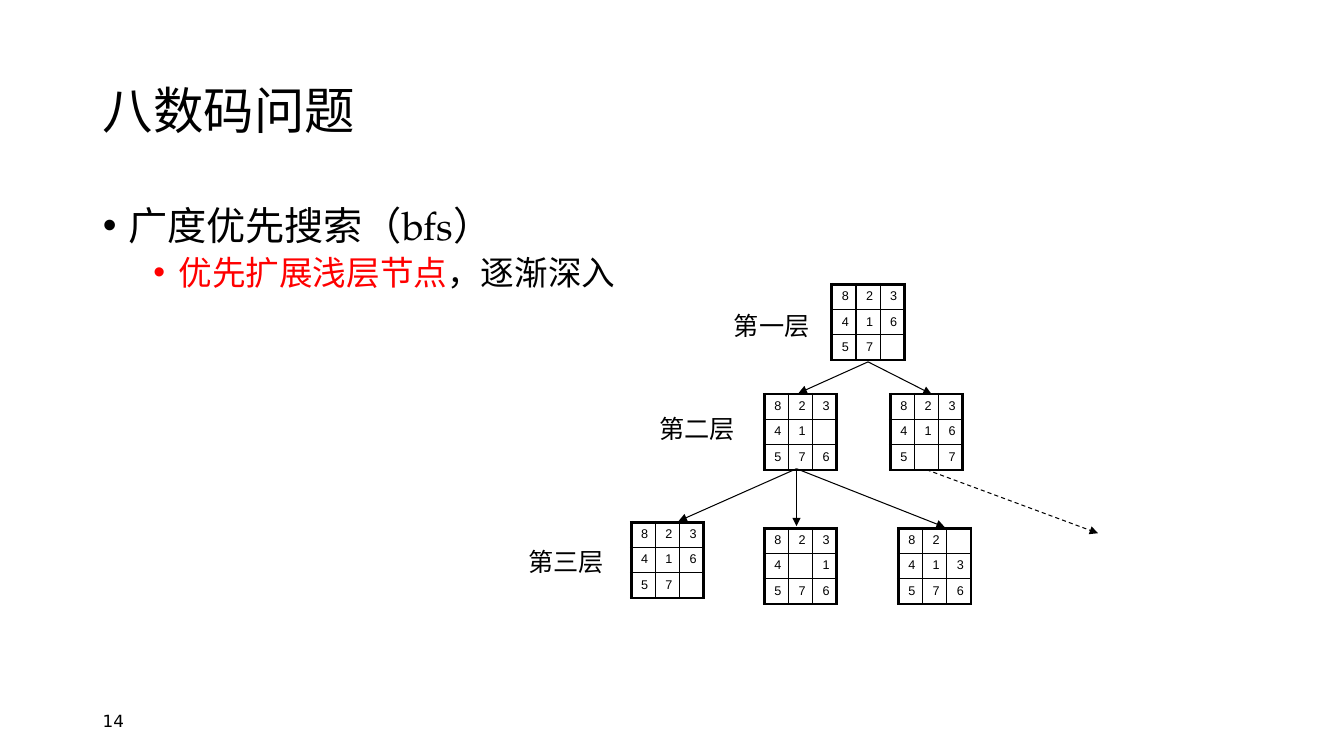
from lxml.etree import SubElement
from pptx import Presentation
from pptx.dml.color import RGBColor
from pptx.enum.dml import MSO_LINE
from pptx.enum.shapes import MSO_CONNECTOR
from pptx.enum.text import MSO_ANCHOR, MSO_AUTO_SIZE, PP_ALIGN
from pptx.oxml.ns import qn
from pptx.util import Inches, Pt

BLACK = RGBColor(0x00, 0x00, 0x00)
RED = RGBColor(0xFF, 0x00, 0x00)
HEADING_FONT, SERIF_FONT = "Calibri", "TeX Gyre Pagella"
NUMBER_FONT, DIGIT_FONT = "DejaVu Sans", "Arial"
CELL_WIDTH, CELL_HEIGHT = 0.24, 0.25

# Left, top and the three rows of each board; a blank is the empty square.
BOARDS = [
    (8.25, 2.82, ["823", "416", "57 "]),
    (7.58, 3.91, ["823", "41 ", "576"]),
    (8.83, 3.91, ["823", "416", "5 7"]),
    (8.91, 5.24, ["82 ", "413", "576"]),
    (7.58, 5.24, ["823", "4 1", "576"]),
    (6.26, 5.18, ["823", "416", "57 "]),
]
LEVEL_LABELS = [("第一层", 7.18, 3.03), ("第二层", 6.44, 4.05), ("第三层", 5.14, 5.37)]
MOVES = [
    ((8.61, 3.59), (7.92, 3.9)),
    ((8.61, 3.59), (9.24, 3.91)),
    ((7.9, 4.65), (6.73, 5.17)),
    ((7.9, 4.65), (7.9, 5.22)),
    ((7.9, 4.65), (9.37, 5.23)),
]
UNEXPLORED_MOVE = ((9.19, 4.66), (10.89, 5.29))


def add_span(para, text, size=18, font=HEADING_FONT, color=BLACK):
    """Append formatted text to a paragraph."""
    span = para.add_run()
    span.text = text
    span.font.size = Pt(size)
    span.font.name = font
    span.font.color.rgb = color


def place(shape, left, top, width, height):
    """Move and size a shape, in inches."""
    shape.left, shape.top = Inches(left), Inches(top)
    shape.width, shape.height = Inches(width), Inches(height)


def add_label(page, text, left, top, width=1, anchor=MSO_ANCHOR.TOP, **style):
    """Add a one-line text box."""
    box = page.shapes.add_textbox(Inches(left), Inches(top), Inches(width), Inches(0.4))
    box.text_frame.word_wrap = True
    box.text_frame.vertical_anchor = anchor
    add_span(box.text_frame.paragraphs[0], text, **style)


def format_bullet(para, level, indent, space):
    """Give a list paragraph its level, bullet and spacing."""
    para.level = level
    para.alignment = PP_ALIGN.JUSTIFY
    para.line_spacing = 0.9
    para.space_before = Pt(space)
    para.space_after = Pt(0)
    props = para._p.get_or_add_pPr()
    props.set("marL", str(Inches(indent)))
    props.set("indent", str(Inches(-0.25)))
    SubElement(props, qn("a:buFont"), typeface="Arial")
    SubElement(props, qn("a:buChar"), char="•")


def set_borders(cell, row, column):
    """Draw thick lines on the board's rim and thin lines inside."""
    props = cell._tc.get_or_add_tcPr()
    rims = {"L": column == 0, "R": column == 2, "T": row == 0, "B": row == 2}
    for side, is_rim in rims.items():
        line = SubElement(props, qn(f"a:ln{side}"), w=str(Pt(2.25 if is_rim else 1)))
        fill = SubElement(line, qn("a:solidFill"))
        SubElement(fill, qn("a:srgbClr"), val=str(BLACK))


def add_board(page, left, top, rows):
    """Add one puzzle state as a three by three table."""
    frame = page.shapes.add_table(3, 3, Inches(left), Inches(top),
                                  Inches(3 * CELL_WIDTH), Inches(3 * CELL_HEIGHT))
    table = frame.table
    table.first_row = table.horz_banding = False
    for index, digits in enumerate(rows):
        table.rows[index].height = Inches(CELL_HEIGHT)
        table.columns[index].width = Inches(CELL_WIDTH)
        for column, digit in enumerate(digits):
            cell = table.cell(index, column)
            set_borders(cell, index, column)
            cell.fill.background()
            para = cell.text_frame.paragraphs[0]
            if digit.strip():
                add_span(para, digit, size=9, font=DIGIT_FONT)
            else:
                SubElement(para._p, qn("a:endParaRPr"), sz="900")


def add_arrow(page, start, end, dash=None):
    """Add a thin arrow between two points, in inches."""
    points = [Inches(value) for value in (*start, *end)]
    arrow = page.shapes.add_connector(MSO_CONNECTOR.STRAIGHT, *points)
    arrow.line.color.rgb = BLACK
    arrow.line.width = Pt(0.75)
    if dash:
        arrow.line.dash_style = dash
    SubElement(arrow.line._get_or_add_ln(), qn("a:tailEnd"), type="triangle")
    SubElement(arrow._element.spPr, qn("a:effectLst"))


def fill_title(page):
    """Write the title into its placeholder."""
    title = page.shapes.title
    place(title, 0.92, 0.4, 11.5, 1.45)
    title.text_frame.vertical_anchor = MSO_ANCHOR.MIDDLE
    title.text_frame.auto_size = MSO_AUTO_SIZE.NONE
    para = title.text_frame.paragraphs[0]
    para.alignment = PP_ALIGN.LEFT
    para.line_spacing = 0.9
    add_span(para, "八数码问题", size=36)


def fill_body(page):
    """Write the bulleted list into the body placeholder."""
    body = page.placeholders[1]
    place(body, 0.92, 2, 11.5, 4.76)
    frame = body.text_frame
    frame.auto_size = MSO_AUTO_SIZE.NONE
    para = frame.paragraphs[0]
    format_bullet(para, level=0, indent=0.25, space=10)
    add_span(para, "广度优先搜索（", size=28)
    add_span(para, "bfs", size=28, font=SERIF_FONT)
    add_span(para, "）", size=28)
    para = frame.add_paragraph()
    format_bullet(para, level=1, indent=0.75, space=5)
    add_span(para, "优先扩展浅层节点", size=24, color=RED)
    add_span(para, "，逐渐深入", size=24)


def main():
    """Build the slide and save it."""
    deck = Presentation()
    deck.slide_width, deck.slide_height = Inches(13.33), Inches(7.5)
    page = deck.slides.add_slide(deck.slide_layouts[1])
    fill_title(page)
    fill_body(page)
    add_label(page, "14", 0.92, 6.95, width=3, anchor=MSO_ANCHOR.MIDDLE,
              size=12, font=NUMBER_FONT)
    for text, left, top in LEVEL_LABELS:
        add_label(page, text, left, top, font=SERIF_FONT)
    for left, top, rows in BOARDS:
        add_board(page, left, top, rows)
    for start, end in MOVES:
        add_arrow(page, start, end)
    add_arrow(page, *UNEXPLORED_MOVE, dash=MSO_LINE.DASH)
    deck.save("out.pptx")


main()
